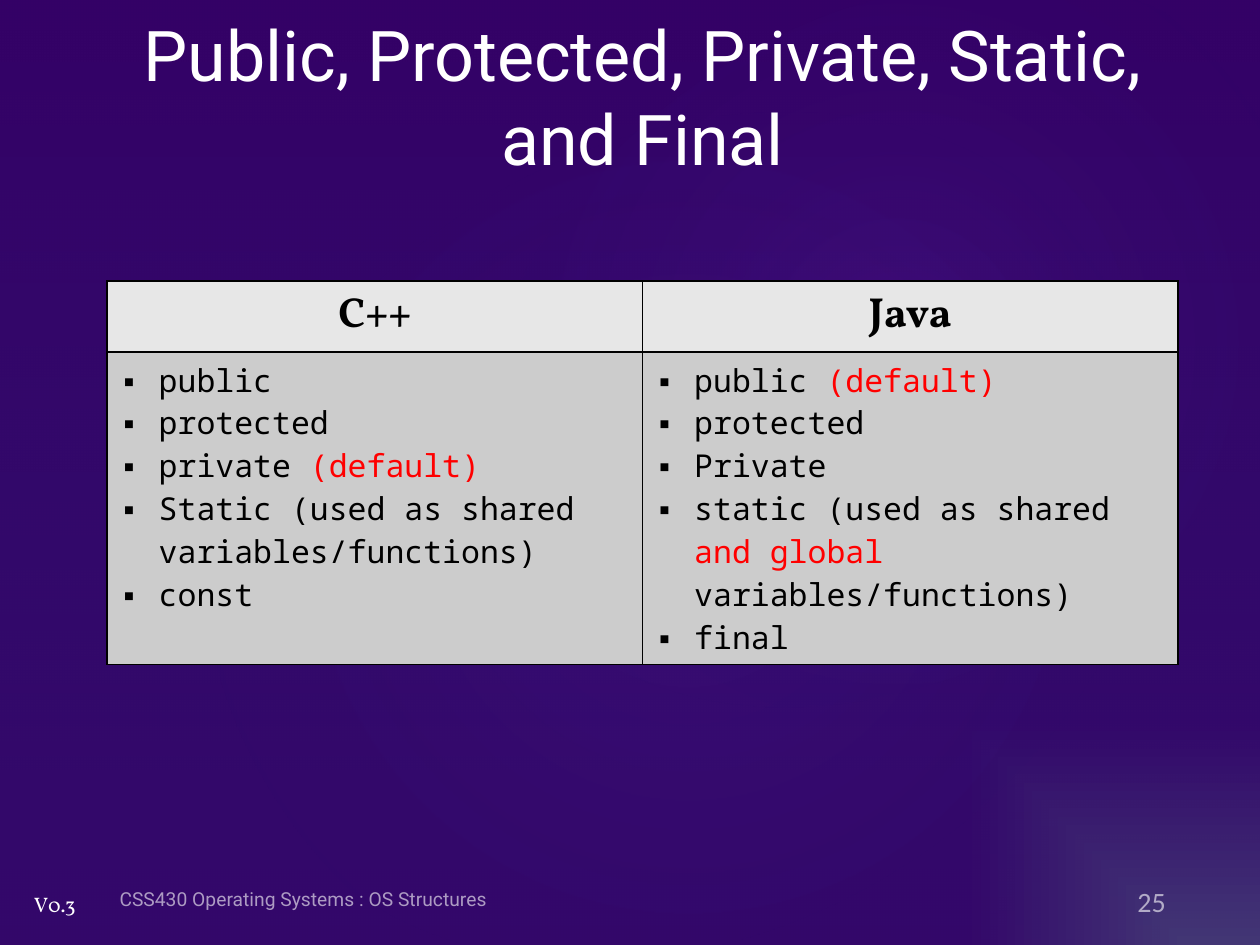
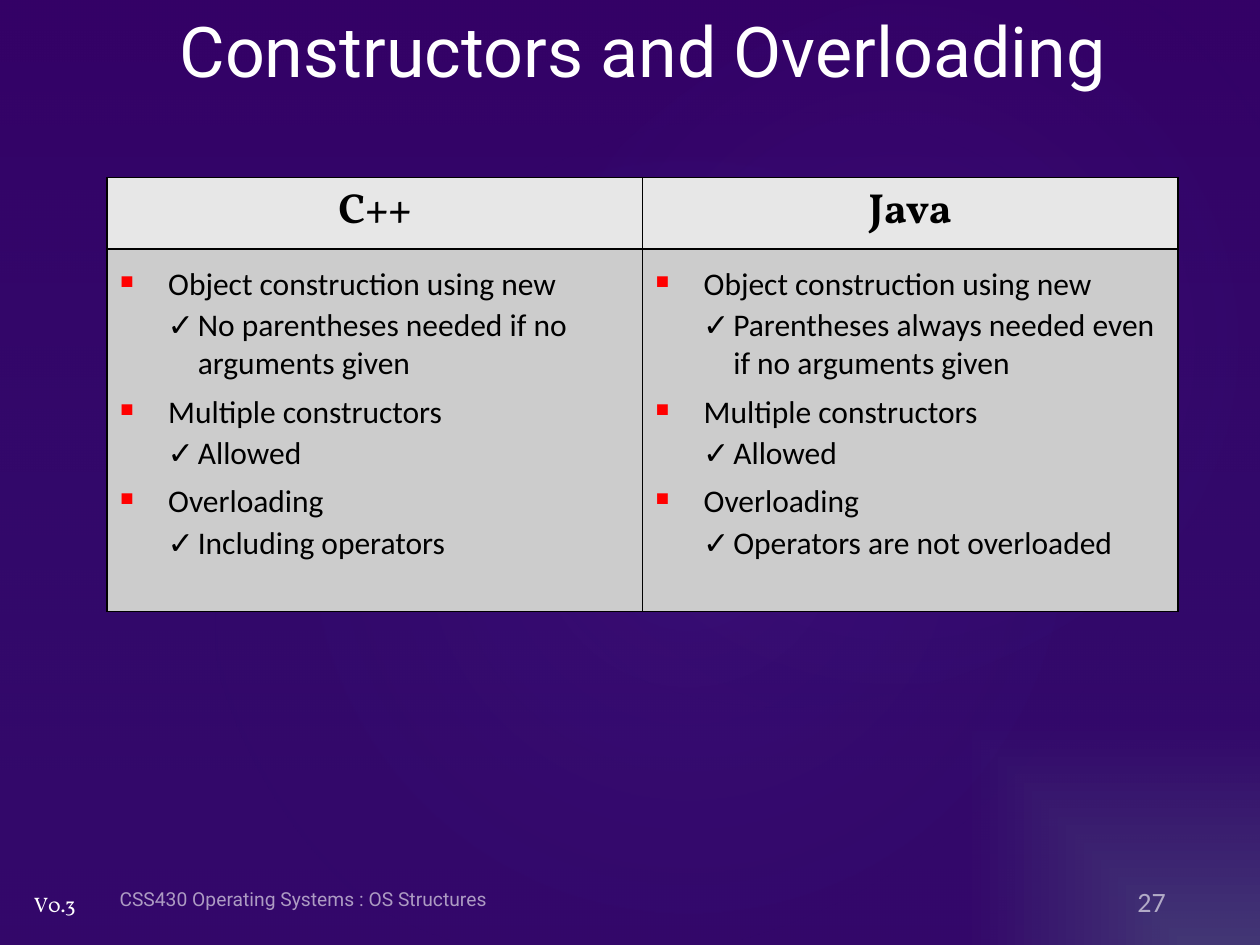
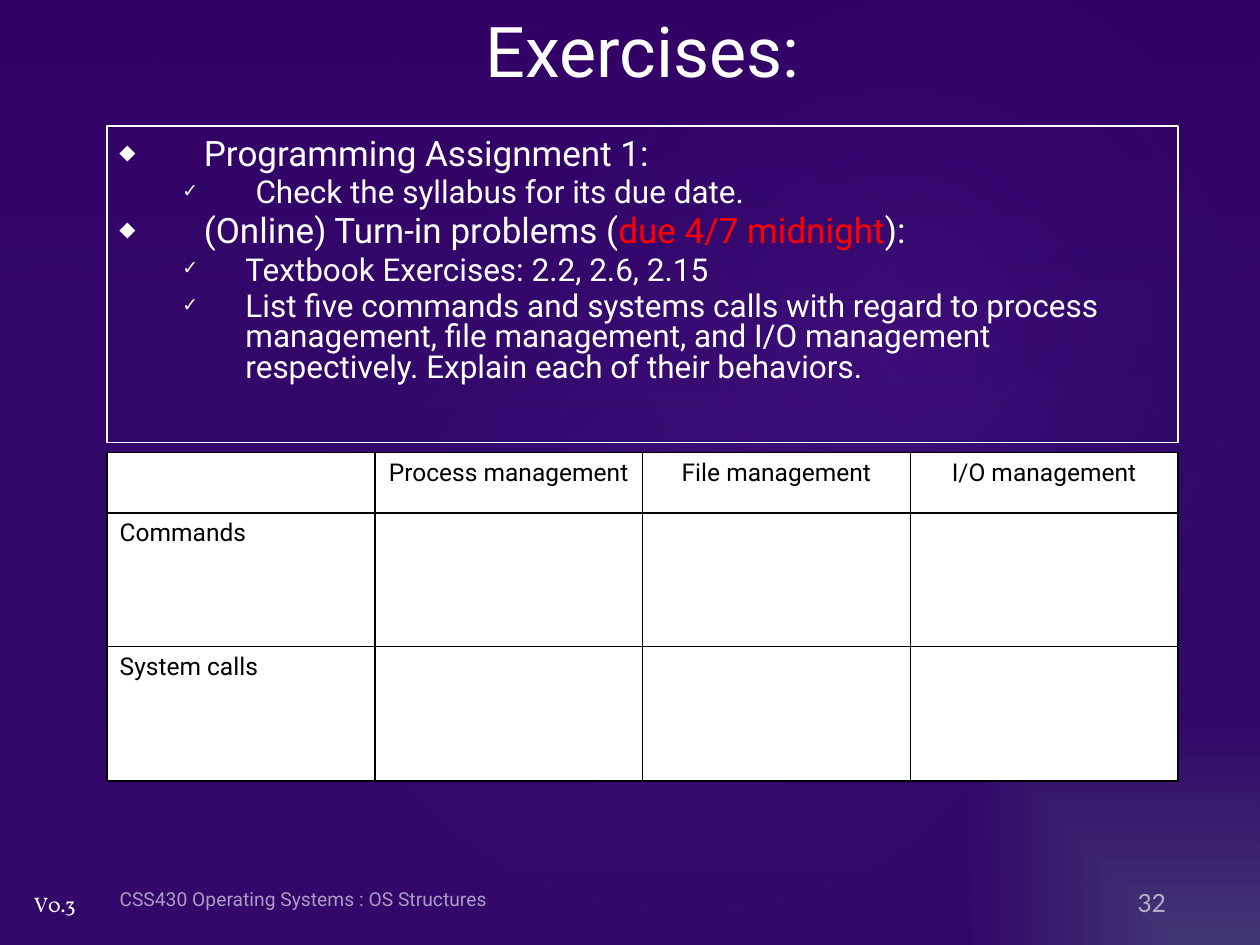
from dataclasses import dataclass
from typing import NamedTuple

from lxml import etree
from pptx import Presentation
from pptx import util as u
from pptx.dml.color import RGBColor
from pptx.enum import shapes, text
from pptx.oxml import ns

# Colours and fonts
WHITE = RGBColor(0xFF, 0xFF, 0xFF)
BLACK = RGBColor(0x00, 0x00, 0x00)
RED = RGBColor(0xFF, 0x00, 0x00)
HEAD = RGBColor(0xE7, 0xE7, 0xE7)
BODY = RGBColor(0xCC, 0xCC, 0xCC)
SLATE = RGBColor(0x46, 0x36, 0x73)
PURPLE = RGBColor(0x35, 0x02, 0x67)
INDIGO = RGBColor(0x33, 0x00, 0x66)
BLUE = RGBColor(0x26, 0x3B, 0x86)
VIOLET = RGBColor(0xA3, 0x47, 0xFF)
SANS, SERIF, MONO, PLAIN = "Roboto", "Vollkorn", "Noto Sans Mono", "Calibri"

# Grid of 100 columns and 75 rows
WIDE, HIGH = u.Inches(10), u.Inches(7.5)
COL, ROW = WIDE // 100, HIGH // 75
LEFT, SPAN = 8.5, 85

LEAD, MID, END = text.PP_ALIGN.LEFT, text.PP_ALIGN.CENTER, text.PP_ALIGN.RIGHT


class Box(NamedTuple):
    x: float
    y: float
    w: float
    h: float

    def emu(self) -> list[int]:
        return [round(n * unit) for n, unit in zip(self, (COL, ROW, COL, ROW))]


class Stop(NamedTuple):
    at: int
    color: RGBColor
    alpha: int = 100


class Run(NamedTuple):
    text: str
    color: RGBColor | None = None
    size: float | None = None


@dataclass(frozen=True)
class Mark:
    """A bullet; left and hang are in columns, scale is a share of the text."""
    char: str
    left: float
    hang: float
    scale: int = 100


@dataclass(frozen=True)
class Para:
    runs: tuple[Run, ...]
    mark: Mark | None = None
    size: float | None = None


@dataclass(frozen=True)
class Glow:
    box: Box
    alpha: int


@dataclass(frozen=True)
class Cell:
    paras: tuple[Para, ...] = ()
    fill: RGBColor = WHITE
    font: str = SANS
    size: float = 14
    bold: bool = False
    align: text.PP_ALIGN = LEAD
    before: float = 0


GLOWS = (Glow(Box(15, 11.4, 79.2, 62.4), 7), Glow(Box(35.8, 1.3, 70.9, 52), 8))


def sub(root, tag: str, **attrs):
    return etree.SubElement(root, ns.qn(tag), {k: str(v) for k, v in attrs.items()})


def para(*runs: Run | str, mark: Mark | None = None, size: float | None = None) -> Para:
    parts = tuple(Run(r) if isinstance(r, str) else r for r in runs)
    return Para(parts, mark, size)


# Fills
def blend(solid, stops: list[Stop], focus: dict[str, int] | None = None,
          kind: str = "circle") -> None:
    """Put a gradient in place of a solid fill: radial with a focus, else downward."""
    grad = etree.Element(ns.qn("a:gradFill"), {"rotWithShape": "1"})
    row = sub(grad, "a:gsLst")
    for stop in stops:
        tint = sub(sub(row, "a:gs", pos=stop.at * 1000), "a:srgbClr", val=stop.color)
        if stop.alpha < 100:
            sub(tint, "a:alpha", val=stop.alpha * 1000)
    if focus:
        sub(sub(grad, "a:path", path=kind), "a:fillToRect",
            **{side: share * 1000 for side, share in focus.items()})
    else:
        sub(grad, "a:lin", ang=90 * 60000, scaled=0)
    solid.getparent().replace(solid, grad)


def veil(slide, kind: shapes.MSO_SHAPE, box: Box, stops: list[Stop],
         turn: float = 0, focus: dict[str, int] | None = None) -> None:
    shape = slide.shapes.add_shape(kind, *box.emu())
    shape.shadow.inherit = False
    shape.line.fill.background()
    shape.rotation = turn
    shape.fill.solid()
    blend(shape.element.spPr.find(ns.qn("a:solidFill")), stops, focus)


# Text
def write(frame, paras: tuple[Para, ...], *, font: str = SANS, size: float = 18,
          color: RGBColor = WHITE, alpha: int = 100, bold: bool = False,
          align: text.PP_ALIGN = LEAD, before: float = 0, pitch: float = 1) -> None:
    """Fill a frame; before is a share of the text size."""
    for i, item in enumerate(paras):
        line = frame.paragraphs[0] if i == 0 else frame.add_paragraph()
        base = item.size or size
        line.alignment = align
        line.line_spacing = pitch
        line.space_before = u.Pt(before * base)
        if item.mark:
            props = line._p.get_or_add_pPr()
            props.set("marL", str(round(item.mark.left * COL)))
            props.set("indent", str(round(-item.mark.hang * COL)))
            sub(props, "a:buSzPct", val=item.mark.scale * 1000)
            sub(props, "a:buFont", typeface=font)
            sub(props, "a:buChar", char=item.mark.char)
        for part in item.runs:
            run = line.add_run()
            run.text = part.text
            run.font.name = font
            run.font.size = u.Pt(part.size or base)
            run.font.bold = bold
            run.font.color.rgb = part.color or color
            if alpha < 100:
                tint = run._r.rPr.find(".//" + ns.qn("a:srgbClr"))
                sub(tint, "a:alpha", val=alpha * 1000)


def label(slide, box: Box, *paras: Para, wrap: bool = True, foot: float = 0.5,
          anchor: text.MSO_ANCHOR = text.MSO_ANCHOR.MIDDLE, **form):
    shape = slide.shapes.add_textbox(*box.emu())
    frame = shape.text_frame
    frame.word_wrap = wrap
    frame.vertical_anchor = anchor
    frame.margin_bottom = round(foot * ROW)
    write(frame, paras, **form)
    return shape


# Tables
def edge(cell) -> None:
    props = cell._tc.get_or_add_tcPr()
    for i, side in enumerate("LRTB"):
        line = etree.Element(ns.qn(f"a:ln{side}"), {"w": str(u.Pt(1))})
        sub(sub(line, "a:solidFill"), "a:srgbClr", val=BLACK)
        props.insert(i, line)


def grid(slide, top: float, rows: list[float], cells: list[list[Cell]]) -> None:
    count = len(cells[0])
    box = Box(LEFT, top, SPAN, sum(rows))
    table = slide.shapes.add_table(len(rows), count, *box.emu()).table
    for col in table.columns:
        col.width = round(SPAN * COL / count)
    for r, high in enumerate(rows):
        table.rows[r].height = round(high * ROW)
        for c, item in enumerate(cells[r]):
            cell = table.cell(r, c)
            cell.fill.solid()
            cell.fill.fore_color.rgb = item.fill
            edge(cell)
            write(cell.text_frame, item.paras, font=item.font, size=item.size,
                  color=BLACK, bold=item.bold, align=item.align, before=item.before)


def versus(slide, top: float, depth: float, font: str,
           left: list[Para], right: list[Para]) -> None:
    """Set C++ beside Java."""
    heads = [Cell((para(name),), HEAD, SERIF, 24, True, MID) for name in ("C++", "Java")]
    lists = [Cell(tuple(side), BODY, font, 18) for side in (left, right)]
    grid(slide, top, [5.65, depth], [heads, lists])


# Shared parts of every slide
def start(deck, title: str, page: int, depth: float = 7.9):
    slide = deck.slides.add_slide(deck.slide_layouts[6])
    veil(slide, shapes.MSO_SHAPE.RECTANGLE, Box(0, 0, 100, 75),
         [Stop(0, INDIGO, 36), Stop(100, BLUE, 10)])
    for glow in GLOWS:
        veil(slide, shapes.MSO_SHAPE.OVAL, glow.box,
             [Stop(0, VIOLET, glow.alpha), Stop(58, BLUE, 0)], 328.7,
             dict.fromkeys("ltrb", 50))
    label(slide, Box(1.7, 70.3, 5.3, 3), para("V0.3"), wrap=False, font=SERIF,
          size=12, anchor=text.MSO_ANCHOR.TOP)
    label(slide, Box(LEFT, 0, SPAN, depth), para(title), size=40, align=MID)
    label(slide, Box(82.3, 69.3, 11.2, 4), para(str(page)), foot=0.1, font=PLAIN,
          size=16, alpha=60, align=END)
    label(slide, Box(LEFT, 69.3, 50.5, 4),
          para("CSS430 Operating Systems : OS Structures"), size=11, alpha=60)
    return slide


# Slides
def access(deck) -> None:
    slide = start(deck, "Public, Protected, Private, Static, and Final", 25, 15.1)
    dot = Mark("▪", 3.1, 3.1)
    usual = Run("(default)", RED)
    left = [("public",), ("protected",), ("private ", usual),
            ("Static (used as shared variables/functions)",), ("const",)]
    right = [("public ", usual), ("protected",), ("Private",),
             ("static (used as shared ", Run("and global", RED), " variables/functions)"),
             ("final",)]
    versus(slide, 22.3, 24.8, MONO,
           *[[para(*runs, mark=dot) for runs in side] for side in (left, right)])


def build(deck) -> None:
    slide = start(deck, "Constructors and Overloading", 27)
    dot, tick = Mark("▪", 3.1, 3.1), Mark("✓", 6.2, 2.4)
    topics = ["Object construction using new", "Multiple constructors", "Overloading"]
    notes = [
        ["No parentheses needed if no arguments given", "Allowed", "Including operators"],
        ["Parentheses always needed even if no arguments given", "Allowed",
         "Operators are not overloaded"],
    ]
    sides = [[line for topic, note in zip(topics, side)
              for line in (para(Run(" ", RED, 24), topic, mark=dot),
                           para(note, mark=tick))]
             for side in notes]
    versus(slide, 14.1, 28.8, PLAIN, *sides)


def tasks(deck) -> None:
    slide = start(deck, "Exercises:", 32)
    gem = Mark("◆", 6.7, 6.7, 60)
    first, tick = Mark("✓", 10.8, 5.8, 60), Mark("✓", 10, 5, 60)
    panel = label(
        slide, Box(LEFT, 10, SPAN, 25.1),
        para("Programming Assignment 1:", mark=gem, size=20),
        para("Check the syllabus for its due date.", mark=first),
        para("(Online) Turn-in problems (", Run("due 4/7 midnight", RED), "):",
             mark=gem, size=20),
        para("Textbook Exercises: 2.2, 2.6, 2.15", mark=tick),
        para("List five commands and systems calls with regard to process management, "
             "file management, and I/O management respectively. "
             "Explain each of their behaviors.", mark=tick),
        foot=4, before=0.2, pitch=0.8)
    panel.line.color.rgb = WHITE
    panel.line.width = u.Pt(0.75)

    heads = ["Process management", "File management", "I/O management"]
    cells = [[Cell()] + [Cell((para(name),), align=MID, before=0.2) for name in heads]]
    for name in ("Commands", "System calls"):
        cells.append([Cell((para(name),), before=0.2)] + [Cell()] * len(heads))
    grid(slide, 35.9, [4.8, 10.6, 10.7], cells)


def main() -> None:
    deck = Presentation()
    deck.slide_width, deck.slide_height = WIDE, HIGH
    master = deck.slide_master
    master.background.fill.solid()
    blend(master.element.xpath("p:cSld/p:bg/p:bgPr/a:solidFill")[0],
          [Stop(0, SLATE), Stop(47, PURPLE)], dict(l=100, t=100, r=0, b=0), "rect")
    for draw in (access, build, tasks):
        draw(deck)
    deck.save("out.pptx")


if __name__ == "__main__":
    main()
